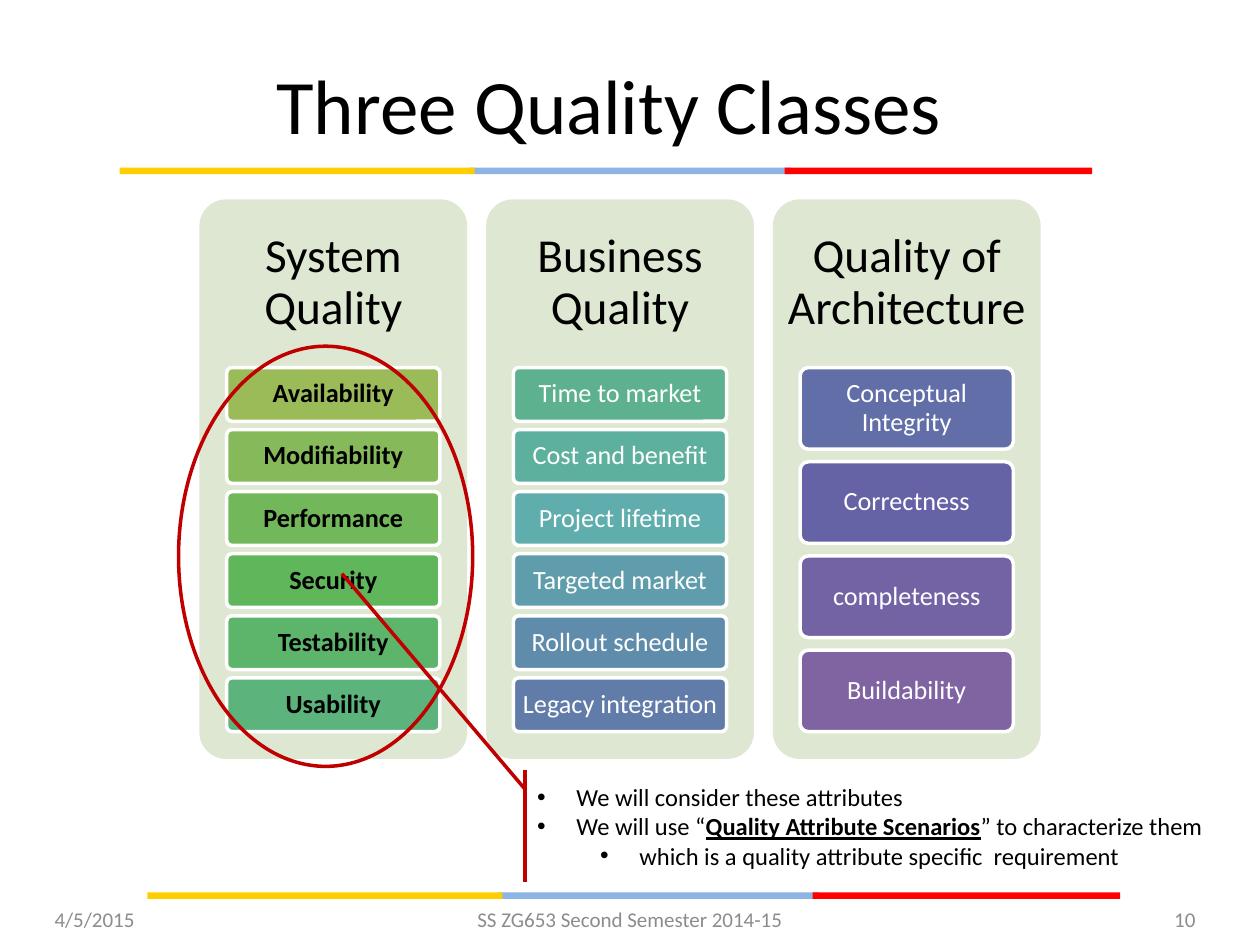
import dataclasses

import pptx
import pptx.dml.color
import pptx.enum.shapes
import pptx.enum.text
import pptx.oxml.ns
import pptx.util
from lxml import etree

Cm = pptx.util.Cm
Pt = pptx.util.Pt
SHAPES = pptx.enum.shapes.MSO_SHAPE
ALIGN = pptx.enum.text.PP_ALIGN
ANCHOR = pptx.enum.text.MSO_ANCHOR


@dataclasses.dataclass(frozen=True)
class Theme:
    font: str = "Calibri"
    ink: str = "000000"
    light: str = "FFFFFF"
    muted: str = "8C8C8C"
    accent: str = "C00000"
    panel: str = "DEE7D1"
    yellow: str = "FFCE00"
    blue: str = "8EB4E3"
    red: str = "FF0000"
    title_size: int = 44
    heading_size: int = 27
    card_size: int = 15
    note_size: int = 14
    footer_size: int = 12
    line_width: int = 2


THEME = Theme()

# Heading, text colour, bold, then (label, fill) for each card
COLUMNS = [
    ("System Quality", THEME.ink, True, [
        ("Availability", "9BBB59"), ("Modifiability", "86B95A"),
        ("Performance", "72B85A"), ("Security", "5FB65B"),
        ("Testability", "5CB56A"), ("Usability", "5CB37C")]),
    ("Business Quality", THEME.light, False, [
        ("Time to market", "5DB18E"), ("Cost and benefit", "5EB09E"),
        ("Project lifetime", "5FAEAD"), ("Targeted market", "5F9DAC"),
        ("Rollout schedule", "608CAB"), ("Legacy integration", "617CA9")]),
    ("Quality of Architecture", THEME.light, False, [
        ("Conceptual Integrity", "626EA7"), ("Correctness", "6562A5"),
        ("completeness", "7363A4"), ("Buildability", "8064A2")]),
]

# Level and runs (text, emphasised) of each note
NOTES = [
    (0, [("We will consider these attributes", False)]),
    (0, [("We will use “", False), ("Quality Attribute Scenarios", True),
         ("” to characterize them", False)]),
    (1, [("which is a quality attribute specific  requirement", False)]),
]


def rgb(value):
    return pptx.dml.color.RGBColor.from_string(value)


def add_shape(slide, kind, box, fill=None, line=None, corner=None):
    shape = slide.shapes.add_shape(kind, *map(Cm, box))
    shape.shadow.inherit = False
    if fill:
        shape.fill.solid()
        shape.fill.fore_color.rgb = rgb(fill)
    else:
        shape.fill.background()
    if line:
        shape.line.color.rgb = rgb(line)
        shape.line.width = Pt(THEME.line_width)
    else:
        shape.line.fill.background()
    if corner:
        shape.adjustments[0] = corner
    return shape


def set_frame(shape, horizontal, vertical):
    frame = shape.text_frame
    frame.word_wrap = True
    frame.vertical_anchor = ANCHOR.MIDDLE
    frame.margin_left = frame.margin_right = Cm(horizontal)
    frame.margin_top = frame.margin_bottom = Cm(vertical)
    return frame


def set_font(paragraph, size, color, bold=False):
    paragraph.font.name = THEME.font
    paragraph.font.size = Pt(size)
    paragraph.font.color.rgb = rgb(color)
    paragraph.font.bold = bold


def write(shape, text, size, color, bold=False, align=ALIGN.CENTER,
          margins=(0.25, 0.13), spacing=1.0):
    paragraph = set_frame(shape, *margins).paragraphs[0]
    paragraph.text = text
    paragraph.alignment = align
    paragraph.line_spacing = spacing
    set_font(paragraph, size, color, bold)


def add_text(slide, box, text, size, color, **options):
    write(slide.shapes.add_textbox(*map(Cm, box)), text, size, color, **options)


def add_rule(slide, left, top):
    """Three-coloured bar; neighbours overlap slightly."""
    for offset, width, color in ((7.06, 6.48, THEME.blue),
                                 (13.41, 6.2, THEME.red),
                                 (0, 7.16, THEME.yellow)):
        add_shape(slide, SHAPES.RECTANGLE, (left + offset, top, width, 0.13), color)


def add_column(slide, left, heading, color, bold, cards):
    top, width = 4.02, 5.4
    add_shape(slide, SHAPES.ROUNDED_RECTANGLE, (left, top, width, 11.28),
              THEME.panel, corner=0.1)
    add_text(slide, (left, top, width, 3.38), heading, THEME.heading_size,
             THEME.ink, margins=(0.25, 0.25), spacing=0.9)

    # Cards share a fixed stack height; each gap is a fraction of a card
    stack_top, stack_height, gap_ratio, inset = 7.41, 7.34, 0.154, 0.55
    height = stack_height / (len(cards) + gap_ratio * (len(cards) - 1))
    for row, (label, fill) in enumerate(cards):
        card_top = stack_top + row * height * (1 + gap_ratio)
        card = add_shape(slide, SHAPES.ROUNDED_RECTANGLE,
                         (left + inset, card_top, width - 2 * inset, height),
                         fill, THEME.light, 0.1)
        write(card, label, THEME.card_size, color, bold=bold,
              margins=(0.08, 0.08), spacing=0.9)


def add_bullet(paragraph, level):
    properties = paragraph._p.get_or_add_pPr()
    properties.set("marL", str(Cm(0.79 + 1.27 * level)))
    properties.set("indent", str(Cm(-0.79)))
    bullet_font = etree.SubElement(properties, pptx.oxml.ns.qn("a:buFont"))
    bullet_font.set("typeface", "Arial")
    bullet = etree.SubElement(properties, pptx.oxml.ns.qn("a:buChar"))
    bullet.set("char", "•")


def add_callout(slide, box, pointer, notes):
    callout = add_shape(slide, SHAPES.LINE_CALLOUT_1_ACCENT_BAR, box,
                        line=THEME.accent)
    for index, value in enumerate(pointer):
        callout.adjustments[index] = value
    frame = set_frame(callout, 0.25, 0)
    for index, (level, runs) in enumerate(notes):
        paragraph = frame.add_paragraph() if index else frame.paragraphs[0]
        paragraph.level = level
        paragraph.alignment = ALIGN.LEFT
        add_bullet(paragraph, level)
        set_font(paragraph, THEME.note_size, THEME.ink)
        for text, emphasised in runs:
            run = paragraph.add_run()
            run.text = text
            if emphasised:
                run.font.bold = True
                run.font.underline = True


def main():
    presentation = pptx.Presentation()
    presentation.slide_width = Cm(25.4)
    presentation.slide_height = Cm(19.05)
    slide = presentation.slides.add_slide(presentation.slide_layouts[6])

    # Rules, title and footer
    add_rule(slide, 2.41, 3.38)
    add_rule(slide, 2.97, 17.99)
    add_text(slide, (0.85, 0.79, 22.86, 2.62), "Three Quality Classes",
             THEME.title_size, THEME.ink)
    for left, width, text, align in (
            (0.85, 5.93, "4/5/2015", ALIGN.LEFT),
            (8.68, 8.04, "SS ZG653 Second Semester 2014-15", ALIGN.CENTER),
            (18.42, 5.93, "10", ALIGN.RIGHT)):
        add_text(slide, (left, 18.03, width, 1.01), text, THEME.footer_size,
                 THEME.muted, align=align)

    # Quality classes
    for index, column in enumerate(COLUMNS):
        add_column(slide, 4.02 + 5.78 * index, *column)

    # Highlight and its explanation
    add_shape(slide, SHAPES.OVAL, (3.6, 6.98, 5.93, 8.47), line=THEME.accent)
    add_callout(slide, (10.58, 15.52, 14.18, 2.26),
                (0.17, 0, -1.75, -0.26), NOTES)

    presentation.save("out.pptx")


if __name__ == "__main__":
    main()
